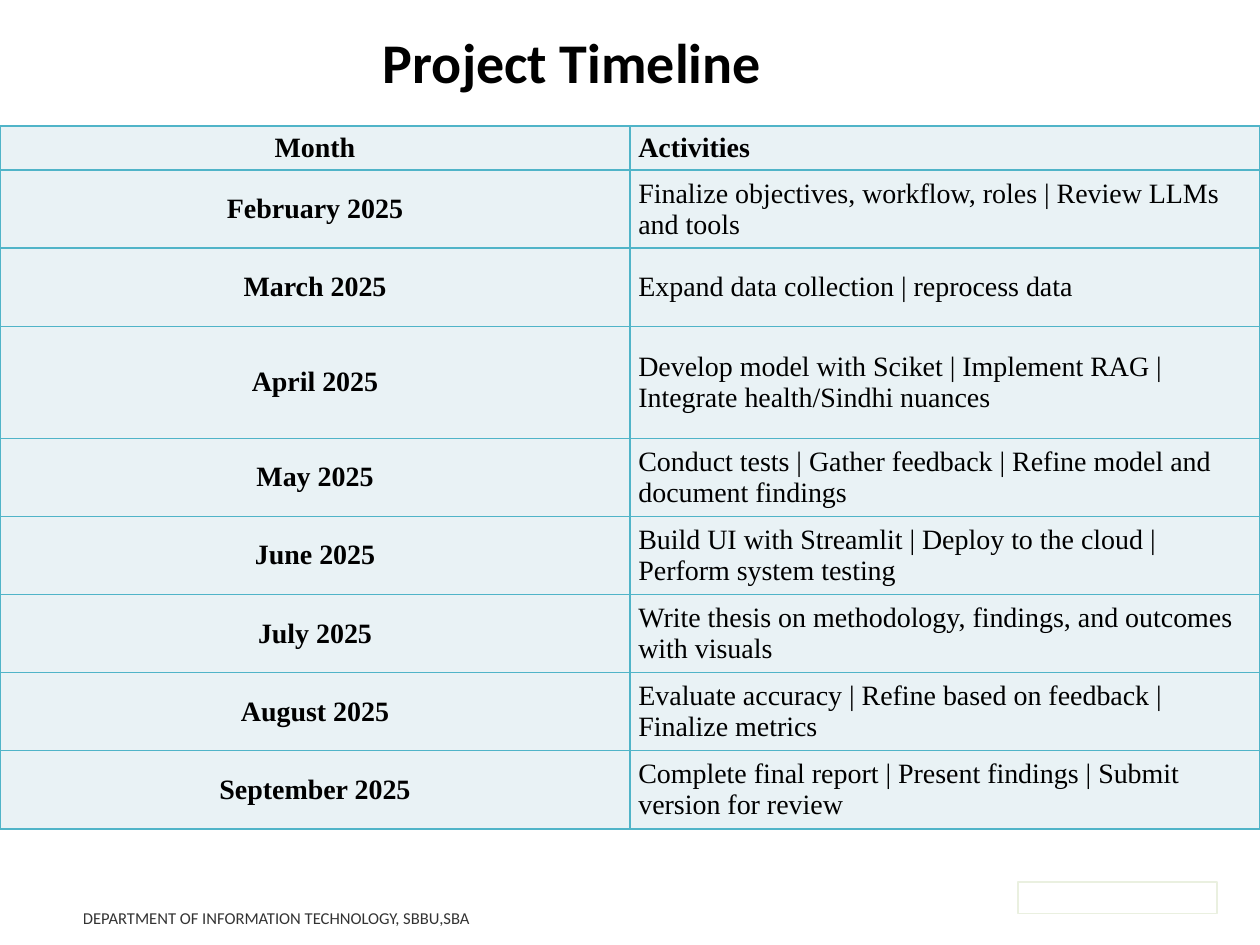
import pptx
import pptx.util
import pptx.dml.color
import pptx.enum.shapes
import pptx.enum.text
import pptx.oxml
import pptx.oxml.ns
from lxml import etree

Pt = pptx.util.Pt
RGB = pptx.dml.color.RGBColor
ALIGN = pptx.enum.text.PP_ALIGN
ANCHOR = pptx.enum.text.MSO_ANCHOR
qn = pptx.oxml.ns.qn

BLACK = RGB(0x00, 0x00, 0x00)
WHITE = RGB(0xFF, 0xFF, 0xFF)
PALE = RGB(0xE9, 0xF2, 0xF5)
TEAL = RGB(0x50, 0xB4, 0xC8)
CREAM = RGB(0xEA, 0xF0, 0xE0)

TITLE = "Project Timeline"
FOOTER = "DEPARTMENT OF INFORMATION TECHNOLOGY, SBBU,SBA"
HEAD, ROW, TALL = 25.2, 44.64, 64.08
PLAN = [
    ("Month", "Activities", HEAD),
    ("February 2025", "Finalize objectives, workflow, roles | Review LLMs and tools", ROW),
    ("March 2025", "Expand data collection | reprocess data", ROW),
    ("April 2025", "Develop model with Sciket | Implement RAG | Integrate health/Sindhi nuances", TALL),
    ("May 2025", "Conduct tests | Gather feedback | Refine model and document findings", ROW),
    ("June 2025", "Build UI with Streamlit | Deploy to the cloud | Perform system testing", ROW),
    ("July 2025", "Write thesis on methodology, findings, and outcomes with visuals", ROW),
    ("August 2025", "Evaluate accuracy | Refine based on feedback | Finalize metrics", ROW),
    ("September 2025", "Complete final report | Present findings | Submit version for review", ROW),
]


def box(*lengths):
    return [Pt(n) for n in lengths]


def write(para, text, font, size, bold=False):
    run = para.add_run()
    run.text = text
    run.font.name = font
    run.font.size = Pt(size)
    run.font.bold = bold
    run.font.color.rgb = BLACK
    return run


def border(cell):
    props = cell._tc.get_or_add_tcPr()
    for spot, side in enumerate(("lnL", "lnR", "lnT", "lnB")):
        line = etree.Element(qn("a:" + side), w=str(Pt(1)))
        fill = etree.SubElement(line, qn("a:solidFill"))
        etree.SubElement(fill, qn("a:srgbClr"), val=str(TEAL))
        props.insert(spot, line)


def fill_cell(cell, text, centred, bold):
    cell.fill.solid()
    cell.fill.fore_color.rgb = PALE
    border(cell)
    cell.vertical_anchor = ANCHOR.MIDDLE
    cell.margin_left = cell.margin_right = Pt(4.8)
    cell.margin_top = cell.margin_bottom = Pt(2.4)
    para = cell.text_frame.paragraphs[0]
    para.alignment = ALIGN.CENTER if centred else ALIGN.LEFT
    write(para, text, "Times New Roman", 16, bold)


def add_plan(shapes):
    high = sum(row[2] for row in PLAN)
    table = shapes.add_table(len(PLAN), 2, *box(0, 72, 720, high)).table
    table.first_row = table.horz_banding = False
    for col in table.columns:
        col.width = Pt(360)
    for i, (month, tasks, height) in enumerate(PLAN):
        table.rows[i].height = Pt(height)
        fill_cell(table.cell(i, 0), month, True, True)
        fill_cell(table.cell(i, 1), tasks, False, i == 0)


def add_title(title):
    title.left, title.top, title.width, title.height = box(174, 12.24, 306, 46.08)
    frame = title.text_frame
    frame.vertical_anchor = ANCHOR.TOP
    frame.word_wrap = True
    frame.auto_size = pptx.enum.text.MSO_AUTO_SIZE.SHAPE_TO_FIT_TEXT
    para = frame.paragraphs[0]
    para.alignment = ALIGN.CENTER
    write(para, TITLE, "Calibri", 32, True)


def add_footer(shapes):
    frame = shapes.add_textbox(*box(40.32, 516.24, 296.64, 18)).text_frame
    frame.word_wrap = True
    frame.vertical_anchor = ANCHOR.MIDDLE
    para = frame.paragraphs[0]
    para.line_spacing = 0.9
    para.space_after = Pt(6)
    run = write(para, FOOTER, "Calibri", 9.5)
    tint = run._r.find(".//" + qn("a:srgbClr"))
    etree.SubElement(tint, qn("a:alpha"), val="80000")


def add_frame(shapes):
    kind = pptx.enum.shapes.MSO_SHAPE.RECTANGLE
    rect = shapes.add_shape(kind, *box(581.76, 504, 113.76, 18))
    rect.shadow.inherit = False
    rect.fill.solid()
    rect.fill.fore_color.rgb = WHITE
    rect.line.color.rgb = CREAM
    rect.line.width = Pt(1)


def main():
    deck = pptx.Presentation()
    deck.slide_width, deck.slide_height = box(720, 540)
    slide = deck.slides.add_slide(deck.slide_layouts[5])
    add_frame(slide.shapes)
    add_plan(slide.shapes)
    add_title(slide.shapes.title)
    add_footer(slide.shapes)
    deck.save("out.pptx")


if __name__ == "__main__":
    main()
